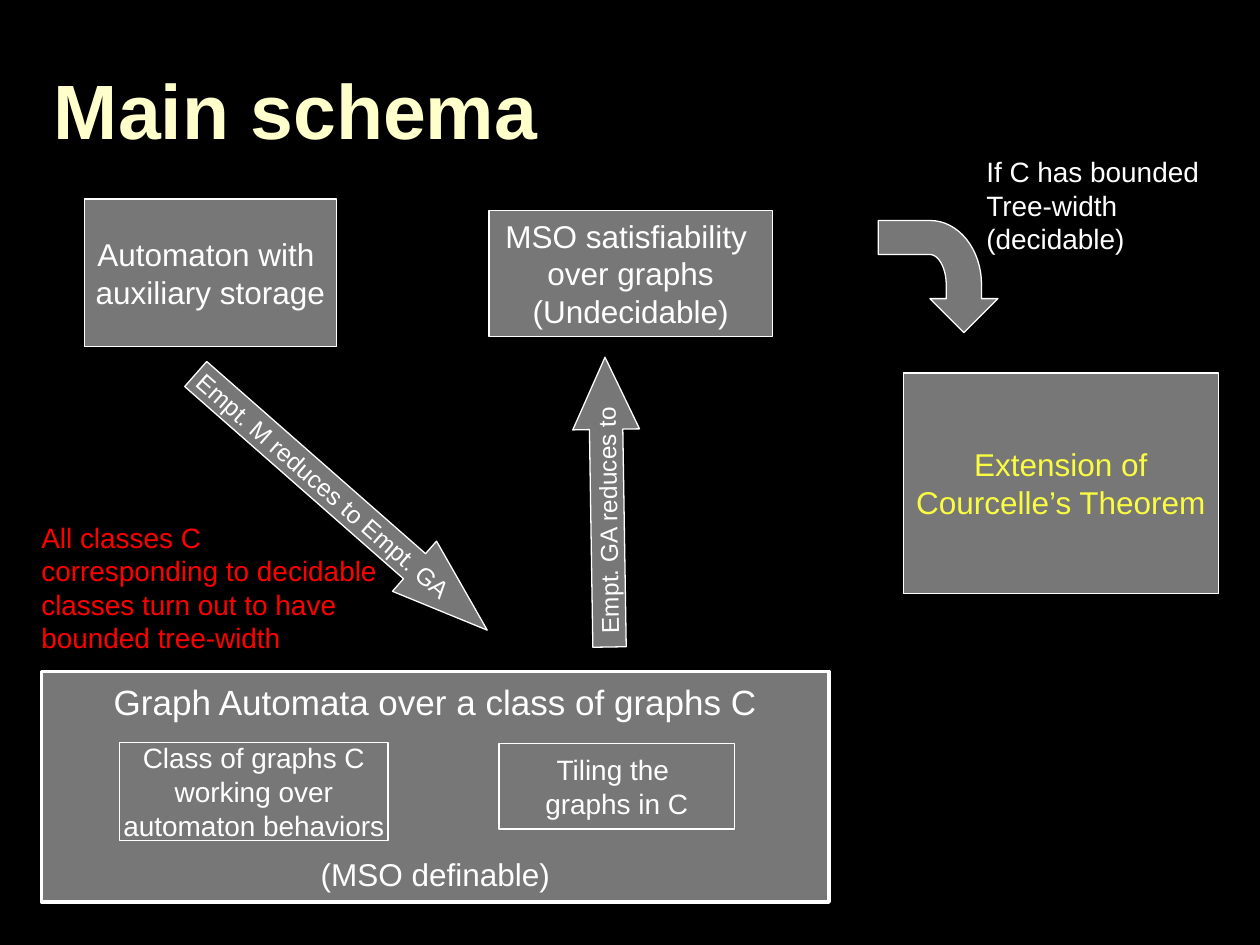
"""Build the "Main schema" slide: boxes, reduction arrows and side notes."""
import pptx
import pptx.dml.color
import pptx.enum.shapes
import pptx.enum.text
import pptx.util
from pptx.util import Inches

COLORS = {"bg": "000000", "fill": "777777", "white": "FFFFFF",
          "title": "FFFFCC", "yellow": "F9FC40", "red": "FF0000"}
RGB = {k: pptx.dml.color.RGBColor.from_string(v) for k, v in COLORS.items()}
SHAPE = pptx.enum.shapes.MSO_SHAPE
ALIGN = pptx.enum.text.PP_ALIGN
ANCHOR = pptx.enum.text.MSO_ANCHOR


def add_text(sp, lines, size, color="white", align=ALIGN.CENTER, anchor=ANCHOR.MIDDLE):
    tf = sp.text_frame
    tf.word_wrap = False
    tf.vertical_anchor = anchor
    for i, line in enumerate(lines):
        p = tf.paragraphs[0] if i == 0 else tf.add_paragraph()
        p.alignment = align
        r = p.add_run()
        r.text = line
        r.font.name = "Arial"
        r.font.size = pptx.util.Pt(size)
        r.font.color.rgb = RGB[color]
    return tf


def style(sp, width=0.75):
    sp.shadow.inherit = False
    sp.fill.solid()
    sp.fill.fore_color.rgb = RGB["fill"]
    sp.line.color.rgb = RGB["white"]
    sp.line.width = pptx.util.Pt(width)


prs = pptx.Presentation()
prs.slide_width, prs.slide_height = Inches(10), Inches(7.5)
s = prs.slides.add_slide(prs.slide_layouts[6])
s.background.fill.solid()
s.background.fill.fore_color.rgb = RGB["bg"]

sp = s.shapes.add_shape(SHAPE.RECTANGLE, Inches(0.33), Inches(5.33), Inches(6.25), Inches(1.83))
style(sp, 2)
tf = add_text(sp, ["Graph Automata over a class of graphs C", "(MSO definable)"], 20)
tf.paragraphs[1].space_before = pptx.util.Pt(76)
tf.paragraphs[1].runs[0].font.size = pptx.util.Pt(18)

sp = s.shapes.add_textbox(Inches(0.33), Inches(0.33), Inches(9.08), Inches(1.25))
tf = add_text(sp, ["Main schema"], 44, "title", ALIGN.LEFT)
tf.word_wrap = True
tf.paragraphs[0].line_spacing = 0.7
tf.paragraphs[0].runs[0].font.bold = True

boxes = [
    (0.67, 1.58, 2, 1.17, 18, "white", ["Automaton with ", "auxiliary storage"]),
    (0.95, 5.89, 2.13, 0.78, 16, "white",
     ["Class of graphs C", "working over", "automaton behaviors"]),
    (3.96, 5.9, 1.87, 0.68, 16, "white", ["Tiling the ", "graphs in C"]),
    (3.88, 1.67, 2.25, 1, 18, "white", ["MSO satisfiability ", "over graphs", "(Undecidable)"]),
    (7.17, 2.96, 2.5, 1.75, 18, "yellow", ["Extension of", "Courcelle’s Theorem"]),
]
for x, y, w, h, size, color, lines in boxes:
    sp = s.shapes.add_shape(SHAPE.RECTANGLE, Inches(x), Inches(y), Inches(w), Inches(h))
    style(sp)
    add_text(sp, lines, size, color)

arrows = [
    (1.17, 3.08, 41.3, 1.45, "Empt. M reduces to Empt. GA"),
    (3.67, 2.3, 269.1, 1.08, "Empt. GA reduces to"),
]
for x, w, angle, head, label in arrows:
    sp = s.shapes.add_shape(SHAPE.RIGHT_ARROW, Inches(x), Inches(3.72), Inches(w), Inches(0.53))
    sp.adjustments[0], sp.adjustments[1] = 0.5, head
    sp.rotation = angle
    style(sp)
    add_text(sp, [label], 14)

bends = []
for curve in ([(7.79, 2.26), (7.79, 1.98), (7.61, 1.75), (7.38, 1.75)],
              [(7.38, 2.02), (7.45, 2.02), (7.51, 2.13), (7.51, 2.26)]):
    points = []
    for i in range(17):
        t = i / 16
        weights = [(1 - t) ** 3, 3 * t * (1 - t) ** 2, 3 * t ** 2 * (1 - t), t ** 3]
        points.append([sum(k * c[axis] for k, c in zip(weights, curve)) for axis in (0, 1)])
    bends.append(points)
outline = [(7.92, 2.37), (7.79, 2.37), *bends[0], (6.97, 1.75), (6.97, 2.02),
           *bends[1], (7.51, 2.37), (7.38, 2.37)]
fb = s.shapes.build_freeform(Inches(7.65), Inches(2.64))
fb.add_line_segments([(Inches(x), Inches(y)) for x, y in outline], close=True)
style(fb.convert_to_shape())

notes = [
    (7.73, 1.18, 1.96, 0.9, "white", ["If C has bounded", "Tree-width", "(decidable)"]),
    (0.23, 4.08, 2.93, 1.17, "red",
     ["All classes C", "corresponding to decidable", "classes turn out to have",
      "bounded tree-width"]),
]
for x, y, w, h, color, lines in notes:
    sp = s.shapes.add_textbox(Inches(x), Inches(y), Inches(w), Inches(h))
    tf = add_text(sp, lines, 16, color, ALIGN.LEFT, ANCHOR.TOP)
    tf.auto_size = pptx.enum.text.MSO_AUTO_SIZE.SHAPE_TO_FIT_TEXT

prs.save("out.pptx")
